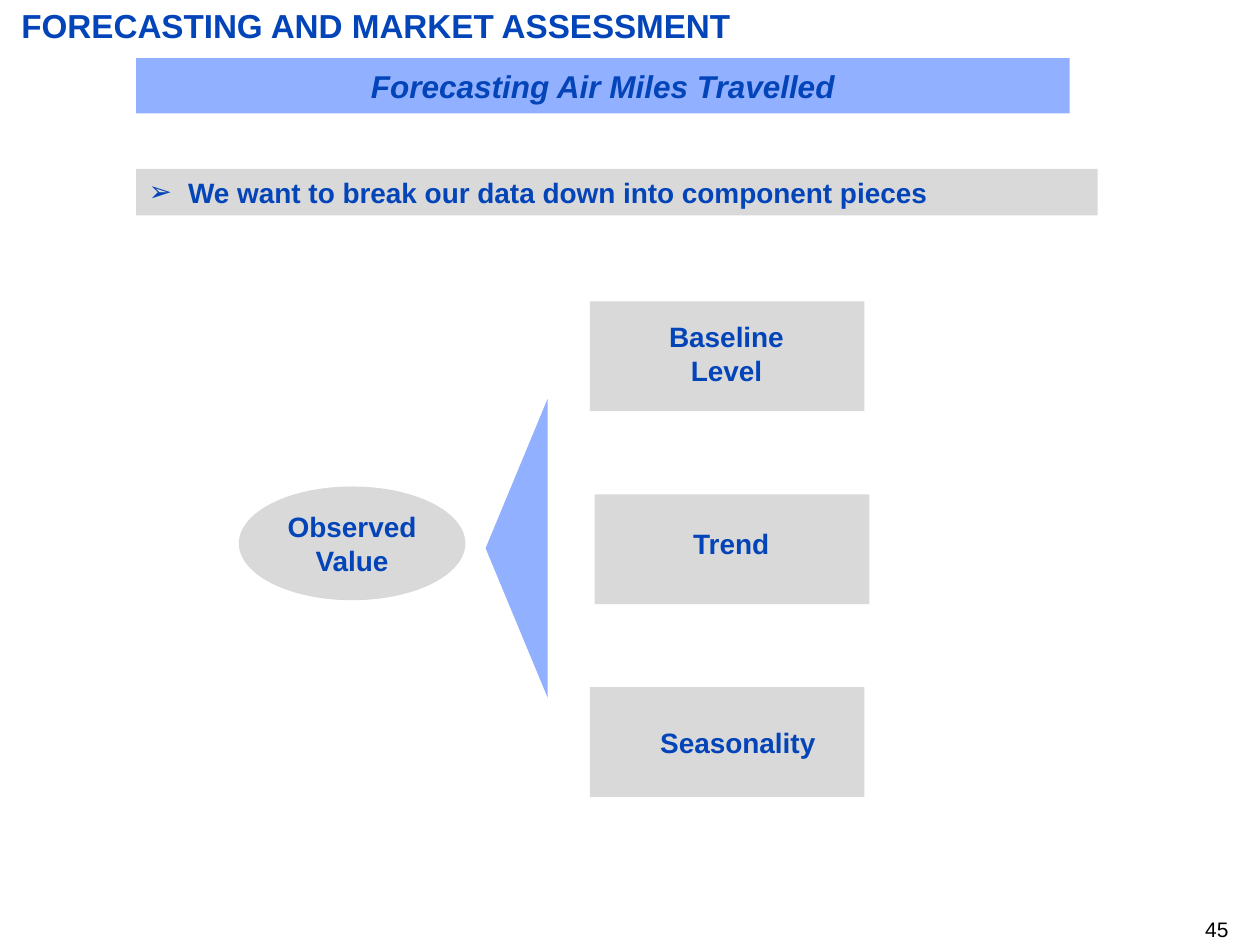
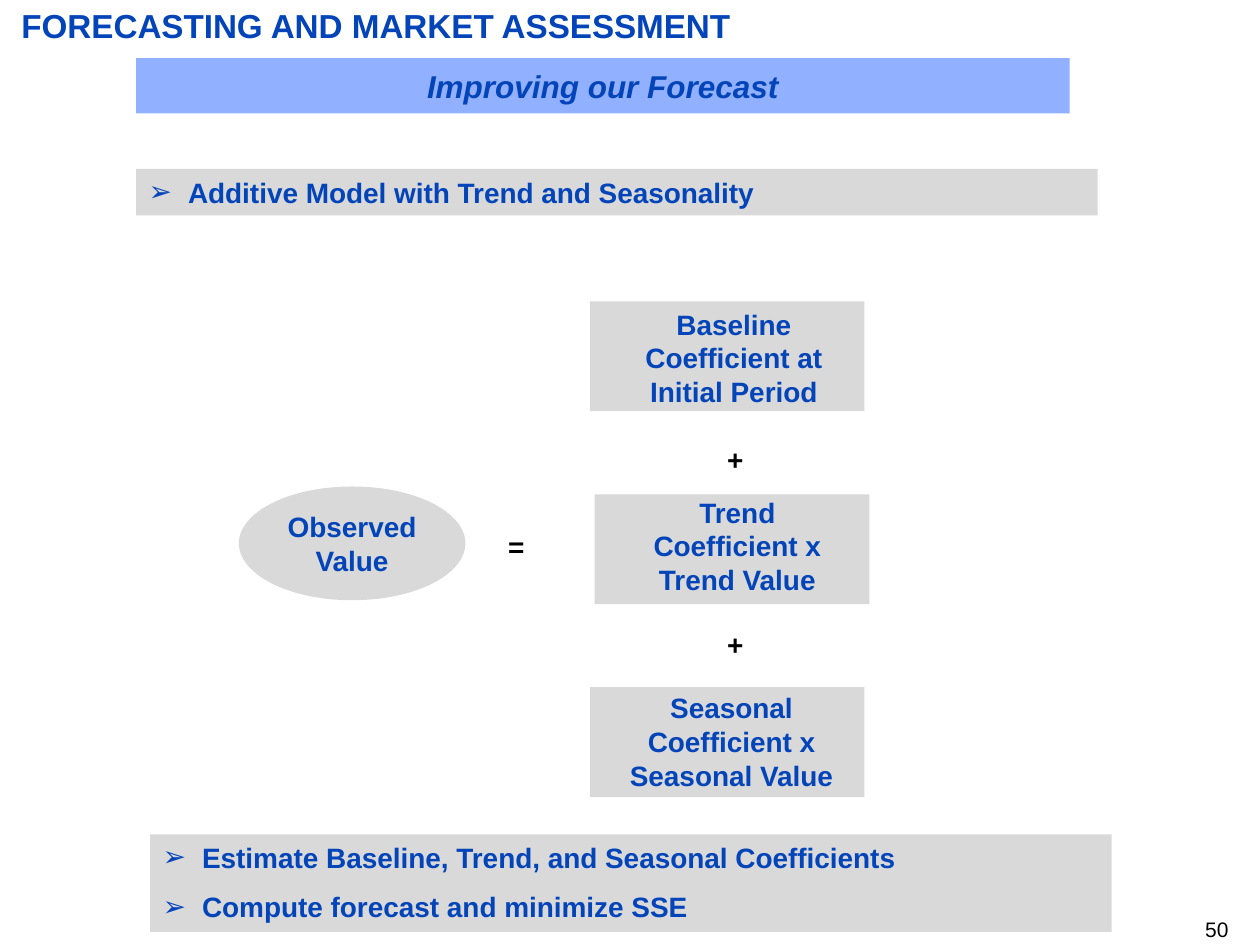
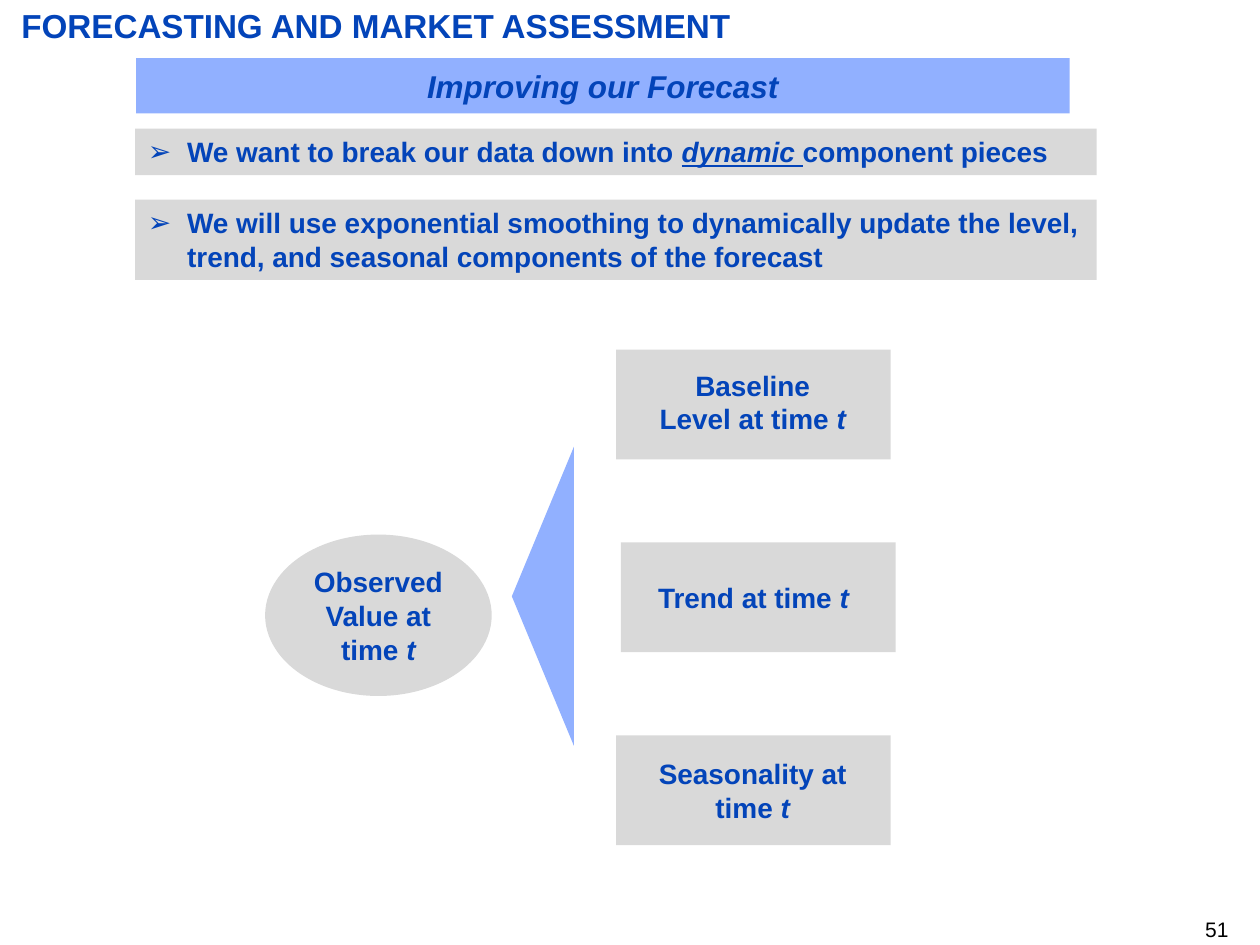
import pptx
import pptx.util
import pptx.dml.color
import pptx.enum.shapes
import pptx.enum.text
import pptx.oxml.ns
import lxml.etree

Pt = pptx.util.Pt
SHAPE = pptx.enum.shapes.MSO_SHAPE
ALIGN = pptx.enum.text.PP_ALIGN
ANCHOR = pptx.enum.text.MSO_ANCHOR

COLOURS = {"text": "0344B9", "band": "91B0FF", "panel": "D9D9D9", "plain": "000000"}
FONT = "Arial"
BODY_SIZE = 16
HEADING = "FORECASTING AND MARKET ASSESSMENT"
LIST_LAYOUTS = {1: 1, 2: 3}  # number of lists -> template layout
LIST_WIDTH = 549.5
LIST_INDENT = 22.5


def colour(name):
    return pptx.dml.color.RGBColor.from_string(COLOURS[name])


def text_height(lines):
    return 7.2 + 19.4 * lines


class SlideBuilder:
    def __init__(self, deck):
        self.deck = deck
        self.page = None

    def new_page(self, subtitle, number, lists=1):
        layout = self.deck.slide_layouts[LIST_LAYOUTS[lists]]
        self.page = self.deck.slides.add_slide(layout)
        title = self.page.shapes.title
        self.place(title, 12.25, 2.9, 692.5, 23)
        self.fill_text(title, [HEADING], size=19, align=ALIGN.LEFT, inset=False)
        band = self.shape(SHAPE.RECTANGLE, 77.75, 33.25, 533.5, 31.5, "band")
        self.fill_text(band, [f"*{subtitle}*"], size=18, anchor=ANCHOR.MIDDLE)
        self.text(str(number), 552.25, 523.5, 149.75, 14.5, size=12, bold=False,
                  fill="plain", align=ALIGN.RIGHT, inset=False)

    def place(self, box, left, top, width, height):
        box.left, box.top, box.width, box.height = map(Pt, (left, top, width, height))

    def fill_text(self, box, lines, size=BODY_SIZE, bold=True, fill="text",
                  align=ALIGN.CENTER, anchor=ANCHOR.TOP, inset=True, bullet=False):
        """Fill a box with paragraphs; words between asterisks become italic."""
        frame = box.text_frame
        frame.word_wrap = True
        frame.auto_size = pptx.enum.text.MSO_AUTO_SIZE.NONE
        frame.vertical_anchor = anchor
        frame.margin_left = frame.margin_right = Pt(7.2 if inset else 0)
        frame.margin_top = frame.margin_bottom = Pt(3.6 if inset else 0)
        for index, line in enumerate(lines):
            para = frame.add_paragraph() if index else frame.paragraphs[0]
            if bullet:
                self.add_bullet(para)
            para.alignment = align
            para.space_before = Pt(9 if index else 0)
            for part, words in enumerate(line.split("*")):
                if not words:
                    continue
                span = para.add_run()
                span.text = words
                font = span.font
                font.name, font.size, font.bold = FONT, Pt(size), bold
                font.italic = part % 2 == 1
                font.color.rgb = colour(fill)

    def add_bullet(self, para):
        properties = para._p.get_or_add_pPr()
        properties.set("marL", str(Pt(LIST_INDENT)))
        properties.set("indent", str(-Pt(LIST_INDENT)))
        qn = pptx.oxml.ns.qn
        lxml.etree.SubElement(properties, qn("a:buFont"), typeface=FONT)
        lxml.etree.SubElement(properties, qn("a:buChar"), char="➢")

    def shape(self, kind, left, top, width, height, fill):
        shape = self.page.shapes.add_shape(kind, *map(Pt, (left, top, width, height)))
        shape.shadow.inherit = False
        shape.fill.solid()
        shape.fill.fore_color.rgb = colour(fill)
        shape.line.fill.background()
        return shape

    def text(self, words, left, top, width, height, **style):
        box = self.page.shapes.add_textbox(*map(Pt, (left, top, width, height)))
        self.fill_text(box, [words], **style)

    def bullets(self, slot, lines, left, top, height):
        """Turn the body placeholder numbered slot into a grey bulleted bar."""
        box = self.page.placeholders[slot]
        self.place(box, left, top, LIST_WIDTH, height)
        box.fill.solid()
        box.fill.fore_color.rgb = colour("panel")
        self.fill_text(box, lines, align=ALIGN.LEFT, bullet=True)
        return box

    def components(self, observed, labels, right=0, down=0, oval_height=65, wedge=True):
        """Draw the observed value and its three parts, shifted right and down."""
        for row, (words, left, top, width, lines) in enumerate(labels):
            nudge = 2.75 if row == 1 else 0
            self.shape(SHAPE.RECTANGLE, 337 + nudge + right, 172.25 + 110.25 * row + down,
                       157, 62.75, "panel")
            self.text(words, left + right, top + down, width, text_height(lines))
        oval = self.shape(SHAPE.OVAL, 136.5 + right, 278 + down, 129.5, oval_height, "panel")
        self.fill_text(oval, [observed], anchor=ANCHOR.MIDDLE)
        if wedge:
            triangle = self.shape(SHAPE.ISOSCELES_TRIANGLE, 209.75 + right, 295.5 + down,
                                  171, 35.5, "band")
            triangle.rotation = 270


def main():
    deck = pptx.Presentation()
    deck.slide_width, deck.slide_height = Pt(720), Pt(540)
    builder = SlideBuilder(deck)

    builder.new_page("Forecasting Air Miles Travelled", 45)
    builder.bullets(1, ["We want to break our data down into component pieces"],
                    77.75, 96.5, text_height(1))
    builder.components("Observed Value", [
        ("Baseline Level", 354.25, 179.25, 121.75, 2),
        ("Trend", 357, 297.5, 121.75, 1),
        ("Seasonality", 360.75, 411.25, 121.75, 1),
    ])

    builder.new_page("Improving our Forecast", 50, lists=2)
    builder.bullets(1, ["Additive Model with Trend and Seasonality"],
                    77.75, 96.5, text_height(1))
    builder.components("Observed Value", [
        ("Baseline Coefficient at Initial Period", 358.5, 172, 121.75, 3),
        ("Trend Coefficient x Trend Value", 351.5, 279.5, 139.75, 3),
        ("Seasonal Coefficient x Seasonal Value", 341, 391.25, 154, 3),
    ], wedge=False)
    for sign, left, top in (("+", 401, 249.25), ("=", 275.75, 299), ("+", 401, 355)):
        builder.text(sign, left, top, 38.5, text_height(1), fill="plain")
    builder.bullets(2, ["Estimate Baseline, Trend, and Seasonal Coefficients",
                        "Compute forecast and minimize SSE"], 85.75, 476.75, 55.75)

    builder.new_page("Improving our Forecast", 51, lists=2)
    dynamic = builder.bullets(
        1, ["We want to break our data down into *dynamic *component pieces"],
        77.25, 73.5, text_height(1))
    dynamic.text_frame.paragraphs[0].runs[1].font.underline = True
    builder.bullets(2, ["We will use exponential smoothing to dynamically update the level, "
                        "trend, and seasonal components of the forecast"],
                    77.25, 114, text_height(2))
    builder.components("Observed Value at time *t*", [
        ("Baseline Level at time *t*", 354.25, 179.25, 121.75, 2),
        ("Trend at time *t*", 347.25, 300.75, 136.75, 1),
        ("Seasonality at time *t*", 354.25, 401.5, 121.75, 2),
    ], right=15, down=27.5, oval_height=92.25)

    deck.save("out.pptx")


if __name__ == "__main__":
    main()
